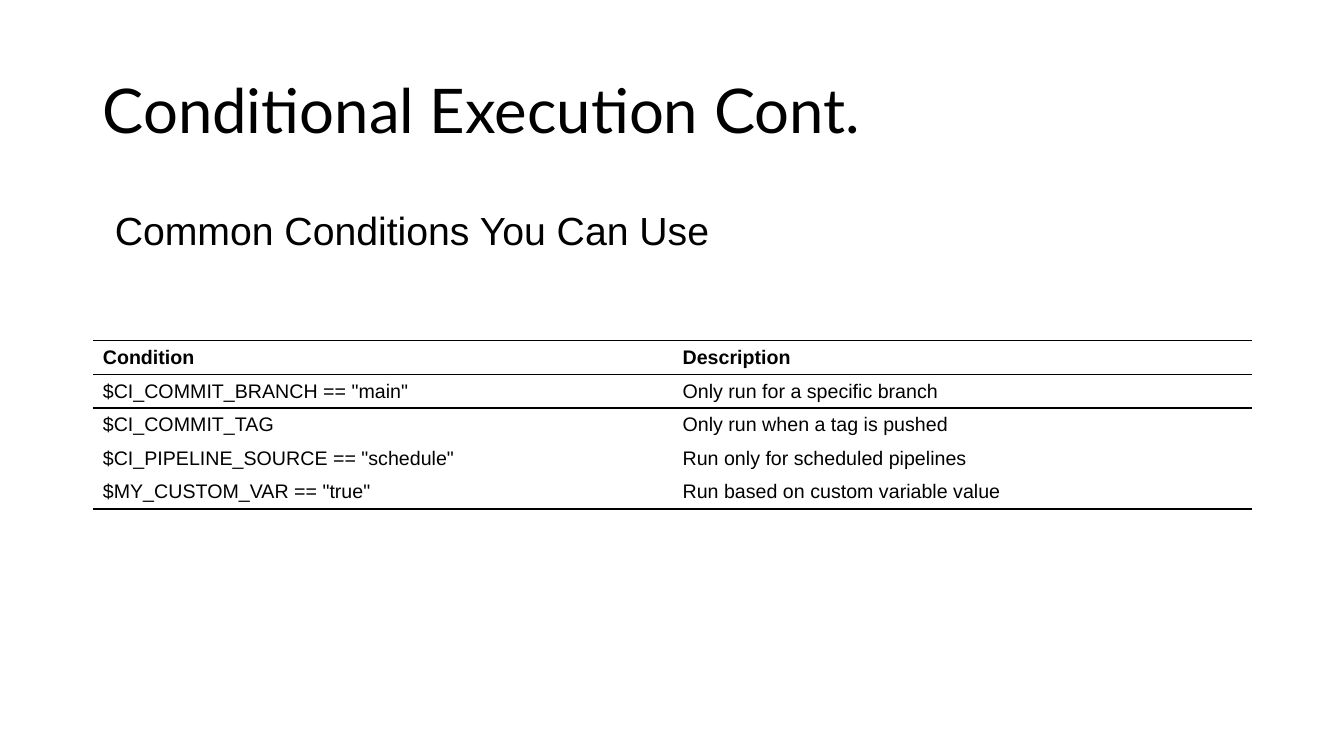
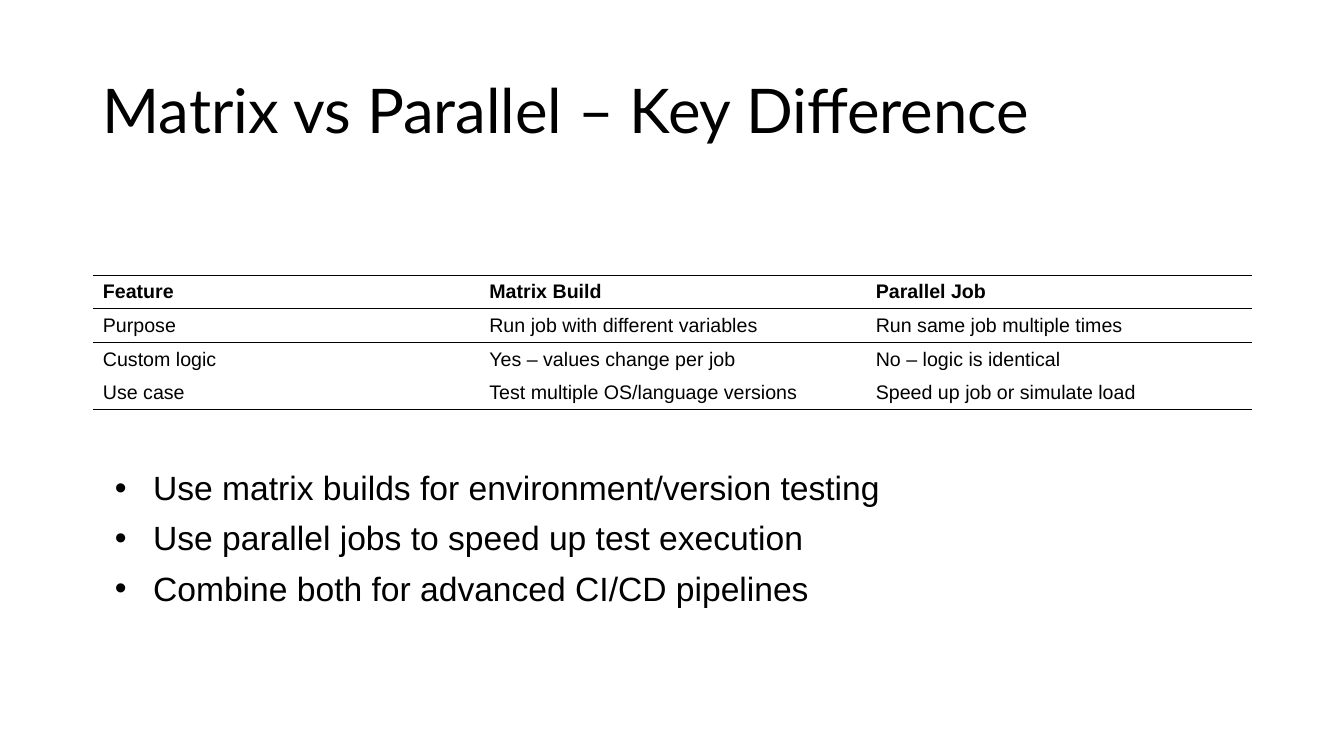
from dataclasses import dataclass

from lxml import etree
from pptx import Presentation
from pptx.dml.color import RGBColor
from pptx.enum.text import MSO_ANCHOR
from pptx.oxml.ns import qn
from pptx.slide import Slide
from pptx.table import _Cell
from pptx.text.text import _Paragraph
from pptx.util import Inches, Pt

# Shared style
BLACK = RGBColor(0x00, 0x00, 0x00)
TITLE_FONT = "Lato"
BODY_FONT = "Arial"
MIDDLE = MSO_ANCHOR.MIDDLE
TOP = MSO_ANCHOR.TOP
BLANK_LAYOUT = 6

# Shared grid, in inches
LEFT = 0.92
WIDTH = 11.5
ROW_HEIGHT = 0.32
TEXT_INDENT = 0.5
HANGING = 0.38


@dataclass(frozen=True)
class TextBlock:
    top: float
    height: float
    lines: tuple[str, ...]
    size: int
    font: str = BODY_FONT
    anchor: MSO_ANCHOR = TOP
    indented: bool = True
    bulleted: bool = False


@dataclass(frozen=True)
class RuledTable:
    top: float
    rows: tuple[tuple[str, ...], ...]


@dataclass(frozen=True)
class SlideContent:
    title: str
    table: RuledTable
    body: TextBlock


SLIDES = (
    SlideContent(
        title="Conditional Execution Cont.",
        table=RuledTable(3.38, (
            ("Condition", "Description"),
            ('$CI_COMMIT_BRANCH == "main"', "Only run for a specific branch"),
            ("$CI_COMMIT_TAG", "Only run when a tag is pushed"),
            ('$CI_PIPELINE_SOURCE == "schedule"', "Run only for scheduled pipelines"),
            ('$MY_CUSTOM_VAR == "true"', "Run based on custom variable value"),
        )),
        body=TextBlock(2.05, 1.0, ("Common Conditions You Can Use",), 28),
    ),
    SlideContent(
        title="Matrix vs Parallel – Key Difference",
        table=RuledTable(2.73, (
            ("Feature", "Matrix Build", "Parallel Job"),
            ("Purpose", "Run job with different variables", "Run same job multiple times"),
            ("Custom logic", "Yes – values change per job", "No – logic is identical"),
            ("Use case", "Test multiple OS/language versions", "Speed up job or simulate load"),
        )),
        body=TextBlock(4.63, 2.13, (
            "Use matrix builds for environment/version testing",
            "Use parallel jobs to speed up test execution",
            "Combine both for advanced CI/CD pipelines",
        ), 24, bulleted=True),
    ),
)


# Text
def add_run(paragraph: _Paragraph, text: str, size: int, font: str, bold: bool = False) -> None:
    run = paragraph.add_run()
    run.text = text
    run.font.size = Pt(size)
    run.font.name = font
    run.font.bold = bold
    run.font.color.rgb = BLACK


def indent_paragraph(paragraph: _Paragraph, bulleted: bool) -> None:
    properties = paragraph._p.get_or_add_pPr()
    properties.set("marL", str(Inches(TEXT_INDENT)))
    properties.set("indent", str(-Inches(HANGING)))
    if bulleted:
        etree.SubElement(properties, qn("a:buFont"), typeface=BODY_FONT)
        etree.SubElement(properties, qn("a:buChar"), char="•")
    else:
        etree.SubElement(properties, qn("a:buNone"))


def add_text_block(slide: Slide, block: TextBlock) -> None:
    shape = slide.shapes.add_textbox(
        Inches(LEFT), Inches(block.top), Inches(WIDTH), Inches(block.height))
    frame = shape.text_frame
    frame.word_wrap = True
    frame.vertical_anchor = block.anchor
    for index, line in enumerate(block.lines):
        paragraph = frame.add_paragraph() if index else frame.paragraphs[0]
        if block.indented:
            indent_paragraph(paragraph, block.bulleted)
        paragraph.line_spacing = 0.9
        if index:
            paragraph.space_before = Pt(10)
        add_run(paragraph, line, block.size, block.font)


# Tables
def set_borders(cell: _Cell, top: bool, bottom: bool) -> None:
    properties = cell._tc.get_or_add_tcPr()
    sides = {"a:lnL": False, "a:lnR": False, "a:lnT": top, "a:lnB": bottom}
    for tag, visible in sides.items():
        line = etree.SubElement(properties, qn(tag), w=str(Pt(1)))
        if visible:
            fill = etree.SubElement(line, qn("a:solidFill"))
            etree.SubElement(fill, qn("a:srgbClr"), val=str(BLACK))
        else:
            etree.SubElement(line, qn("a:noFill"))


def add_ruled_table(slide: Slide, content: RuledTable) -> None:
    row_count, column_count = len(content.rows), len(content.rows[0])
    table = slide.shapes.add_table(
        row_count, column_count, Inches(LEFT), Inches(content.top),
        Inches(WIDTH), Inches(ROW_HEIGHT * row_count)).table
    table.first_row = False
    table.horz_banding = False
    # Rules frame the header, close the first body row and end the table
    ruled_edges = {0, 1, 2, row_count}
    for row_index, texts in enumerate(content.rows):
        for column_index, text in enumerate(texts):
            cell = table.cell(row_index, column_index)
            set_borders(cell, row_index in ruled_edges, row_index + 1 in ruled_edges)
            cell.fill.background()
            cell.vertical_anchor = MIDDLE
            add_run(cell.text_frame.paragraphs[0], text, 14, BODY_FONT, bold=row_index == 0)


# Slides
def add_slide(presentation: Presentation, content: SlideContent) -> None:
    slide = presentation.slides.add_slide(presentation.slide_layouts[BLANK_LAYOUT])
    add_text_block(slide, TextBlock(
        0.4, 1.45, (content.title,), 44, TITLE_FONT, MIDDLE, indented=False))
    add_ruled_table(slide, content.table)
    add_text_block(slide, content.body)


def main() -> None:
    presentation = Presentation()
    presentation.slide_width = Inches(13.33)
    presentation.slide_height = Inches(7.5)
    for content in SLIDES:
        add_slide(presentation, content)
    presentation.save("out.pptx")


if __name__ == "__main__":
    main()
